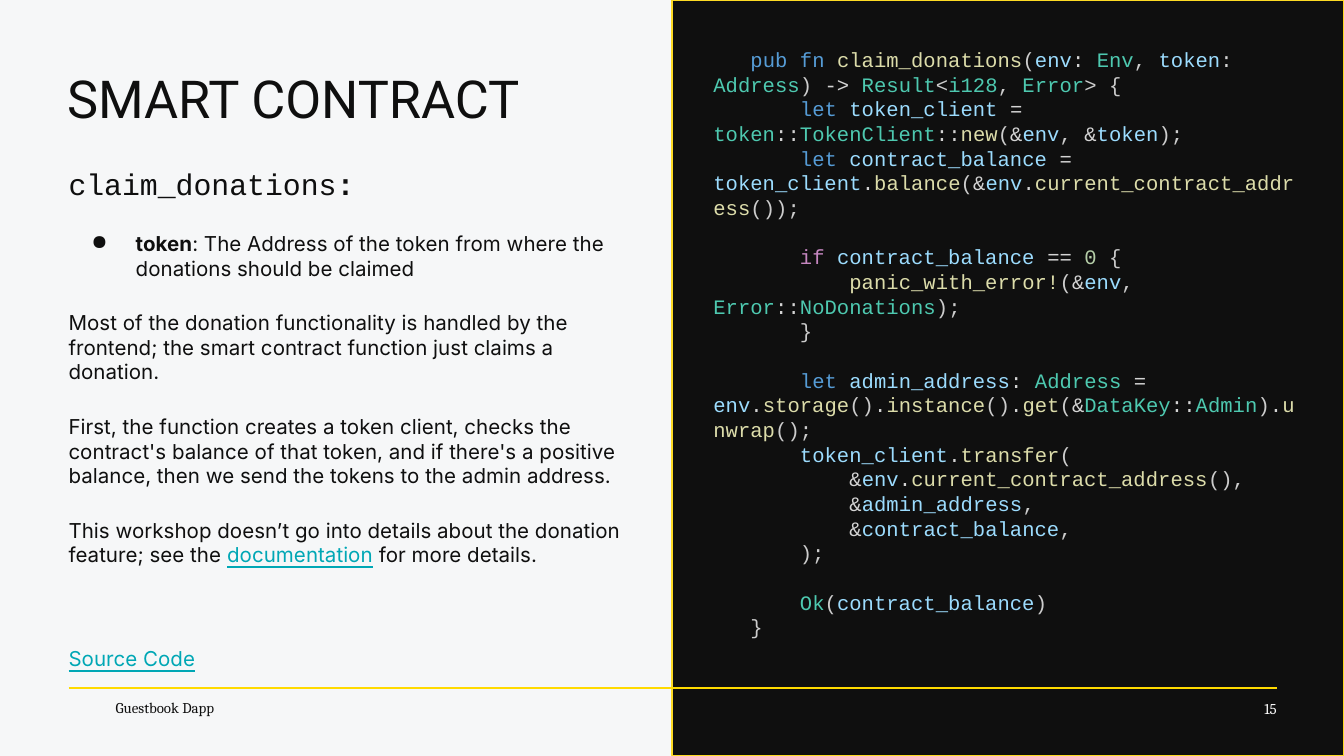
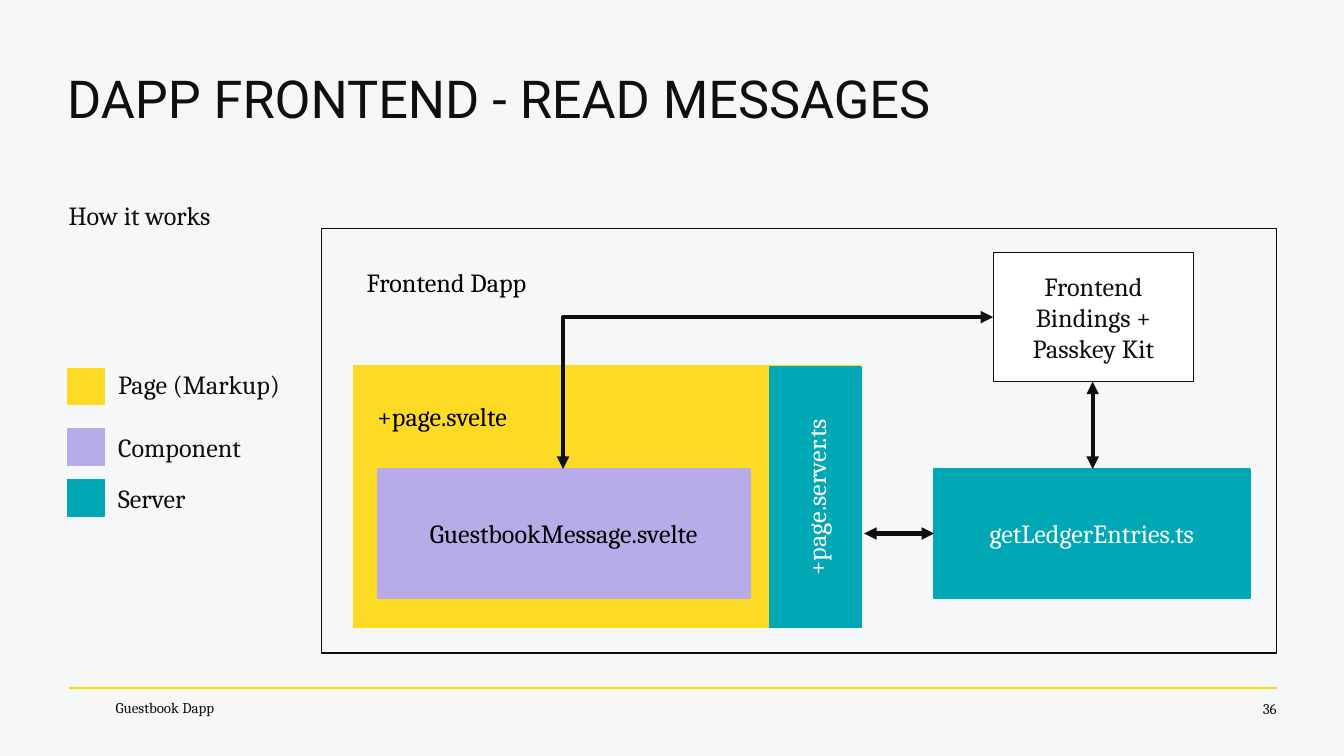
from dataclasses import dataclass, replace
from itertools import groupby

from lxml.etree import SubElement
from pptx import Presentation
from pptx.dml.color import RGBColor
from pptx.enum.shapes import MSO_CONNECTOR, MSO_SHAPE
from pptx.enum.text import MSO_ANCHOR, PP_ALIGN
from pptx.oxml.ns import qn
from pptx.util import Pt

EMU_PER_PX = 9144
INK, PAPER, WHITE, BLACK = "0F0F0F", "F6F7F8", "FFFFFF", "000000"
YELLOW, RULE_YELLOW, LILAC, TEAL = "FDDA24", "FFDA00", "B7ACE8", "00A7B5"
PLAIN, OPERATOR, FUNCTION, TYPE = "CCCCCC", "D4D4D4", "DCDCAA", "4EC9B0"
VARIABLE, NUMBER = "9CDCFE", "B5CEA8"
KEYWORDS = {"pub": "569CD6", "fn": "569CD6", "let": "569CD6", "if": "C586C0"}
CODE_LINE_HEIGHT = 13.2
INSETS = (10, 10, 10, 10)
FLUSH_LEFT = (0, 10, 10, 10)
NO_INSETS = (0, 0, 0, 0)

CLAIM_DONATIONS = """\
   pub fn claim_donations(env: Env, token: Address) -> Result<i128, Error> {
       let token_client = token::TokenClient::new(&env, &token);
       let contract_balance = token_client.balance(&env.current_contract_address());

       if contract_balance == 0 {
           panic_with_error!(&env, Error::NoDonations);
       }

       let admin_address: Address = env.storage().instance().get(&DataKey::Admin).unwrap();
       token_client.transfer(
           &env.current_contract_address(),
           &admin_address,
           &contract_balance,
       );

       Ok(contract_balance)
   }"""


@dataclass(frozen=True)
class Style:
    """Look of a run of text."""
    font: str
    size: int
    color: str = INK
    bold: bool = False
    underline: bool = False


TITLE = Style("Roboto", 28)
FOOTER = Style("Cambria", 8)
LABEL = Style("Cambria", 14)
BODY = Style("Inter", 11)
LINK = replace(BODY, color=TEAL, underline=True)
CODE = Style("Courier New", 11, PLAIN)
CODE_HEADING = Style("Courier New", 16)


def px(length):
    """Turn a length in px into EMU."""
    return int(length * EMU_PER_PX)


def rgb(color):
    """Turn a hex string into a colour."""
    return RGBColor.from_string(color)


def add_runs(paragraph, runs):
    """Fill a paragraph with (text, style) runs."""
    for text, style in runs:
        run = paragraph.add_run()
        run.text = text
        run.font.name = style.font
        run.font.size = Pt(style.size)
        run.font.color.rgb = rgb(style.color)
        run.font.bold = style.bold
        run.font.underline = style.underline


def write(shape, paragraphs, insets=INSETS, anchor=MSO_ANCHOR.TOP, align=PP_ALIGN.LEFT):
    """Write a list of run lists into a shape and return its paragraphs."""
    frame = shape.text_frame
    frame.word_wrap = True
    frame.vertical_anchor = anchor
    frame.margin_left, frame.margin_top, frame.margin_right, frame.margin_bottom = map(px, insets)
    for index, runs in enumerate(paragraphs):
        paragraph = frame.add_paragraph() if index else frame.paragraphs[0]
        paragraph.alignment = align
        add_runs(paragraph, runs)
    return frame.paragraphs


def add_text(slide, box, paragraphs, **layout):
    """Add a text box and return its paragraphs."""
    return write(slide.shapes.add_textbox(*map(px, box)), paragraphs, **layout)


def add_label(slide, box, text, color=INK, insets=INSETS):
    """Add a one-line label and return its paragraph."""
    return add_text(slide, box, [[(text, replace(LABEL, color=color))]], insets=insets)[0]


def add_box(slide, box, fill, line=None, text=None, color=INK):
    """Add a filled rectangle with optional centred text."""
    shape = slide.shapes.add_shape(MSO_SHAPE.RECTANGLE, *map(px, box))
    shape.shadow.inherit = False
    shape.fill.solid()
    shape.fill.fore_color.rgb = rgb(fill)
    shape.line.color.rgb = rgb(line or fill)
    shape.line.width = Pt(0.75)
    if text:
        write(shape, [[(text, replace(LABEL, color=color))]],
              anchor=MSO_ANCHOR.MIDDLE, align=PP_ALIGN.CENTER)
    return shape


def add_line(slide, start, end, color, width, kind=MSO_CONNECTOR.STRAIGHT):
    """Add a connector without a shadow."""
    connector = slide.shapes.add_connector(kind, *map(px, start + end))
    connector.line.color.rgb = rgb(color)
    connector.line.width = Pt(width)
    SubElement(connector._element.spPr, qn("a:effectLst"))
    return connector


def add_double_arrow(slide, start, end, bent=False):
    """Add a line with arrowheads at both ends, with one corner if bent."""
    kind = MSO_CONNECTOR.ELBOW if bent else MSO_CONNECTOR.STRAIGHT
    connector = add_line(slide, start, end, INK, 2.25, kind)
    properties = connector._element.spPr
    if bent:
        properties.find(qn("a:prstGeom")).set("prst", "bentConnector2")
    for tag in ("a:headEnd", "a:tailEnd"):
        SubElement(properties.find(qn("a:ln")), qn(tag), type="triangle")


def add_bullet(paragraph, color, margin, indent):
    """Give a paragraph a round bullet and a hanging indent."""
    properties = paragraph._p.get_or_add_pPr()
    properties.set("marL", str(px(margin)))
    properties.set("indent", str(px(indent)))
    bullet_color = SubElement(properties, qn("a:buClr"))
    SubElement(bullet_color, qn("a:srgbClr"), val=color)
    SubElement(properties, qn("a:buChar"), char="●")


def character_kind(character):
    """Sort a code character into word, operator or plain."""
    if character.isalnum() or character in "_!":
        return "word"
    return "operator" if character in ":=&.->" else "plain"


def token_color(kind, token, following):
    """Pick the syntax colour of a token from what follows it."""
    if kind != "word":
        return OPERATOR if kind == "operator" and token != ">" else PLAIN
    if token in KEYWORDS:
        return KEYWORDS[token]
    if token.isdigit():
        return NUMBER
    if token[0].isupper() or token == "i128" or following == "::":
        return TYPE
    return FUNCTION if following.startswith("(") else VARIABLE


def highlight(line):
    """Split a line of code into coloured runs."""
    tokens = [(kind, "".join(group)) for kind, group in groupby(line, character_kind)]
    following = [token for _, token in tokens[1:]] + [""]
    return [(token, replace(CODE, color=token_color(kind, token, after)))
            for (kind, token), after in zip(tokens, following)]


def add_code(slide, box, source):
    """Add a dark code panel, with spacing for its empty lines."""
    lines = source.split("\n")
    shape = add_box(slide, box, INK)
    shape.line.fill.background()
    paragraphs = write(shape, [highlight(line) for line in lines if line])
    shown = [index for index, line in enumerate(lines) if line]
    for paragraph, index in zip(paragraphs, shown):
        if index and not lines[index - 1]:
            paragraph.space_before = Pt(CODE_LINE_HEIGHT)


def add_slide(presentation):
    """Add a blank slide with the shared background."""
    slide = presentation.slides.add_slide(presentation.slide_layouts[6])
    slide.background.fill.solid()
    slide.background.fill.fore_color.rgb = rgb(PAPER)
    return slide


def add_frame(slide, title, number, number_color=INK):
    """Add the title, the footer and the rule above it."""
    add_text(slide, (50, 49, 900, 47), [[(title, TITLE)]], insets=NO_INSETS)
    add_text(slide, (890, 510, 60, 34), [[(number, replace(FOOTER, color=number_color))]],
             insets=(0, 10, 0, 10), anchor=MSO_ANCHOR.MIDDLE, align=PP_ALIGN.RIGHT)
    add_text(slide, (86, 513, 235, 27), [[("Guestbook Dapp", FOOTER)]],
             insets=NO_INSETS, anchor=MSO_ANCHOR.MIDDLE)
    add_line(slide, (51, 512), (950, 512), RULE_YELLOW, 0.75)


def build_contract_slide(presentation):
    """Build the slide on the claim_donations function."""
    slide = add_slide(presentation)
    add_box(slide, (500, 0, 500, 562), INK, YELLOW)
    add_code(slide, (521, 25, 456, 465), CLAIM_DONATIONS)
    add_frame(slide, "SMART CONTRACT", "15", WHITE)
    paragraphs = add_text(slide, (51, 113, 439, 400), [
        [("claim_donations", CODE_HEADING), (":", replace(CODE_HEADING, bold=True))],
        [("token", replace(BODY, bold=True)),
         (": The Address of the token from where the donations should be claimed", BODY)],
        [("Most of the donation functionality is handled by the frontend; "
          "the smart contract function just claims a donation.", BODY)],
        [("First, the function creates a token client, checks the contract's balance of that "
          "token, and if there's a positive balance, then we send the tokens to the admin "
          "address.", BODY)],
        [("This workshop doesn’t go into details about the donation feature; see the ", BODY),
         ("documentation", LINK), (" for more details.", BODY)],
        [("Source Code", LINK)],
    ], insets=FLUSH_LEFT)
    add_bullet(paragraphs[1], INK, 50, -33)
    for paragraph in paragraphs[1:-1]:
        paragraph.space_before = Pt(16)
    paragraphs[-1].space_before = Pt(42.5)


def build_frontend_slide(presentation):
    """Build the diagram of how messages are read."""
    slide = add_slide(presentation)
    add_box(slide, (239, 170, 711, 316), PAPER, INK)
    add_frame(slide, "DAPP FRONTEND - READ MESSAGES", "36")
    heading = add_label(slide, (51, 127, 328, 44), "How it works", insets=FLUSH_LEFT)
    heading.line_spacing = 1.5

    legend = [("Page (Markup)", YELLOW, 274, 264),
              ("Component", LILAC, 319, 311),
              ("Server", TEAL, 357, 349)]
    for name, color, swatch_top, label_top in legend:
        add_box(slide, (50, swatch_top, 28, 27), color)
        add_label(slide, (78, label_top, 149, 44), name)

    add_box(slide, (263, 272, 377, 195), YELLOW)
    add_box(slide, (281, 349, 277, 96), LILAC, text="GuestbookMessage.svelte", color=BLACK)
    add_box(slide, (695, 349, 235, 96), TEAL, text="getLedgerEntries.ts", color=WHITE)
    add_box(slide, (739, 188, 149, 96), WHITE, INK, "Frontend Bindings + Passkey Kit")
    server = add_box(slide, (510, 336, 194, 68), TEAL, text="+page.server.ts", color=WHITE)
    server.rotation = 270
    add_label(slide, (271, 288, 149, 44), "+page.svelte", BLACK)
    add_label(slide, (263, 188, 293, 44), "Frontend Dapp", BLACK)

    add_double_arrow(slide, (643, 397), (695, 397))
    add_double_arrow(slide, (813, 349), (813, 284))
    add_double_arrow(slide, (739, 236), (419, 349), bent=True)


def main():
    """Build and save the presentation."""
    presentation = Presentation()
    presentation.slide_width = px(1000)
    presentation.slide_height = px(562.5)
    build_contract_slide(presentation)
    build_frontend_slide(presentation)
    presentation.save("out.pptx")


if __name__ == "__main__":
    main()
